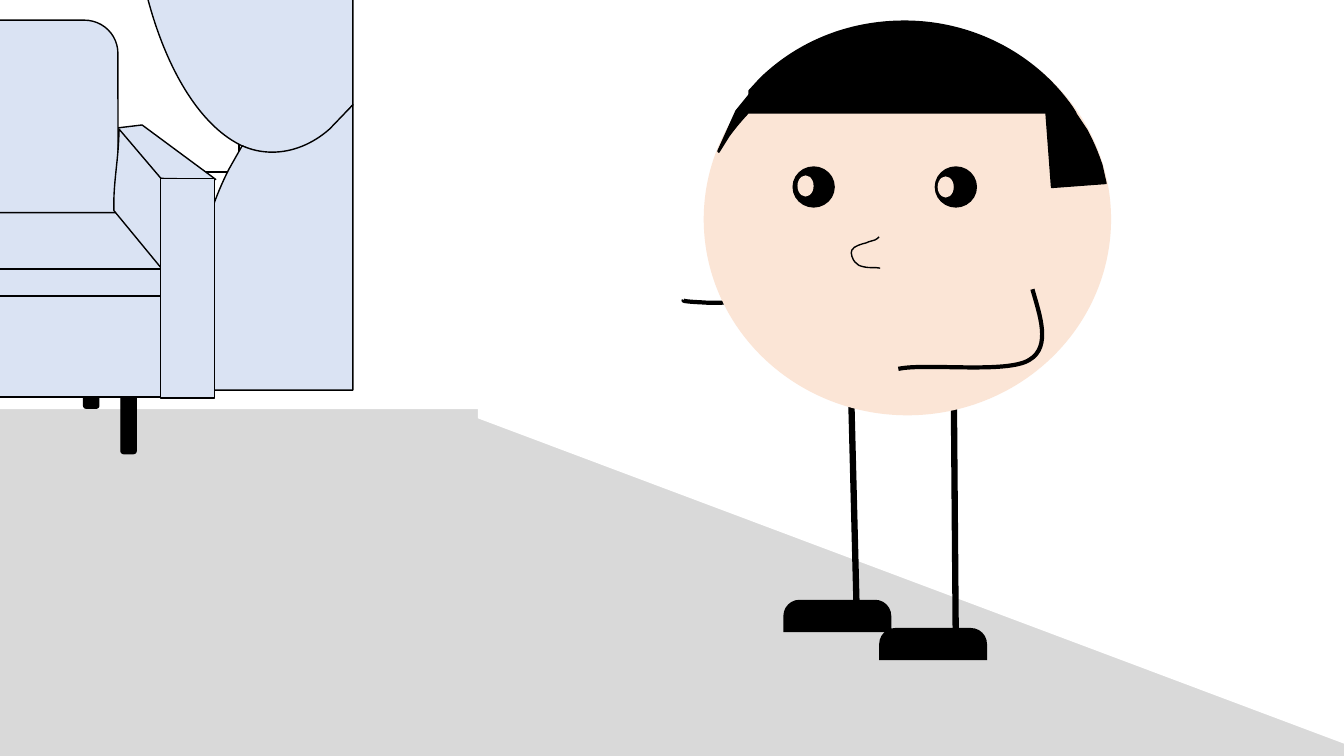
from dataclasses import dataclass
from typing import Optional, Union

from pptx import Presentation
from pptx import util as u
from pptx.dml import color
from pptx.enum import shapes
from pptx.oxml import ns, xmlchemy

BLACK, WHITE, FLOOR, BLUE, SKIN = "000000", "FFFFFF", "D9D9D9", "DAE3F3", "FBE5D6"
KIND = shapes.MSO_SHAPE


@dataclass
class Preset:
    kind: KIND
    left: float
    top: float
    width: float
    height: float
    fill: Optional[str] = BLACK
    line_width: float = 0
    adjustments: tuple = ()


@dataclass
class Outline:
    """Each step is an (x, y) line end or six numbers of a cubic curve."""
    start: tuple
    steps: list
    fill: Optional[str] = BLUE
    line_width: float = 1


@dataclass
class Limb:
    start: tuple
    end: tuple
    line_width: float = 4.5


Part = Union[Preset, Outline, Limb]


def rgb(value: str) -> color.RGBColor:
    return color.RGBColor.from_string(value)


def paint(shape, fill: Optional[str], line_width: float) -> None:
    shape.shadow.inherit = False
    if fill:
        shape.fill.solid()
        shape.fill.fore_color.rgb = rgb(fill)
    else:
        shape.fill.background()
    if line_width:
        shape.line.color.rgb = rgb(BLACK)
        shape.line.width = u.Pt(line_width)
    else:
        shape.line.fill.background()


def draw_preset(slide, part: Preset) -> None:
    frame = map(u.Inches, (part.left, part.top, part.width, part.height))
    shape = slide.shapes.add_shape(part.kind, *frame)
    for index, amount in enumerate(part.adjustments):
        shape.adjustments[index] = amount
    paint(shape, part.fill, part.line_width)


def draw_outline(slide, part: Outline) -> None:
    """Build the outline from all its points, then bend the curved steps."""
    builder = slide.shapes.build_freeform(*map(u.Inches, part.start))
    points = [(u.Inches(x), u.Inches(y)) for step in part.steps
              for x, y in zip(step[::2], step[1::2])]
    builder.add_line_segments(points, close=part.fill is not None)
    shape = builder.convert_to_shape()
    segments = iter(list(shape._element.iter(ns.qn("a:lnTo"))))
    for step in part.steps:
        controls = [next(segments) for _ in step[::2]]
        if len(controls) == 3:
            curve = xmlchemy.OxmlElement("a:cubicBezTo")
            controls[0].addprevious(curve)
            for control in controls:
                curve.append(control[0])
                control.getparent().remove(control)
    paint(shape, part.fill, part.line_width)


def draw_limb(slide, part: Limb) -> None:
    ends = map(u.Inches, part.start + part.end)
    limb = slide.shapes.add_connector(shapes.MSO_CONNECTOR.STRAIGHT, *ends)
    limb.line.color.rgb = rgb(BLACK)
    limb.line.width = u.Pt(part.line_width)
    limb._element.spPr.append(xmlchemy.OxmlElement("a:effectLst"))


def sofa_leg(left: float, top: float) -> Preset:
    return Preset(KIND.ROUNDED_RECTANGLE, left, top, 0.15, 0.67, BLACK, 1)


def shoe(left: float, top: float) -> Preset:
    return Preset(KIND.ROUND_2_SAME_RECTANGLE, left, top, 1.07, 0.32,
                  adjustments=(0.5, 0))


def eyeball(left: float) -> Preset:
    return Preset(KIND.OVAL, left, 1.65, 0.42, 0.41)


def glint(left: float, top: float) -> Preset:
    return Preset(KIND.OVAL, left, top, 0.16, 0.21, SKIN)


ROOM: list[Part] = [
    Preset(KIND.RECTANGLE, -8.83, -3.63, 14.6, 7.69, WHITE),
    Outline((8.29, -6.45), [(13.39, -6.45), (13.39, 7.4), (4.74, 4.15),
                            (4.69, 0.43, 4.73, 0.09, 4.72, -3.63)], WHITE, 0),
]

WINDOW: list[Part] = [
    Preset(KIND.RECTANGLE, -6.07, -1.51, 8.44, 3.22, None, 1.5),
    Outline((1.32, -2.07), [(3.5, -2.07), (3.5, 1.04), (3.28, 1.29),
                            (3.11, 1.44, 2.92, 1.52, 2.72, 1.52),
                            (1.93, 1.52, 1.29, 0.2, 1.29, -1.43),
                            (1.29, -1.64, 1.3, -1.84, 1.32, -2.03)]),
    Outline((3.5, 1.04), [(3.5, 3.87), (1.84, 3.87), (1.84, 3.76),
                          (1.84, 2.95, 2, 2.21, 2.27, 1.68),
                          (2.4, 1.45), (2.41, 1.45),
                          (2.5, 1.49, 2.6, 1.51, 2.7, 1.51),
                          (2.9, 1.51, 3.1, 1.43, 3.27, 1.28)]),
]

SOFA: list[Part] = [
    Outline((1.41, 1.24), [(1.16, 1.27), (1.59, 1.77), (2.14, 1.78)]),
    sofa_leg(0.83, 3.38),
    Preset(KIND.ROUNDED_RECTANGLE, -5.18, 0.2, 6.35, 2.38, BLUE, 1, (0.139,)),
    Outline((-2.07, 2.11), [(1.2, 2.11), (1.65, 2.68), (-2.07, 2.66)]),
    Preset(KIND.RECTANGLE, -2, 2.67, 3.63, 0.26, BLUE, 1),
    sofa_leg(1.2, 3.83),
    Preset(KIND.RECTANGLE, -5.59, 2.94, 7.28, 1, BLUE, 1),
    Outline((1.63, 1.81), [(1.18, 1.28), (1.18, 1.57, 1.12, 1.81, 1.13, 2.09),
                           (1.64, 2.71), (1.64, 2.44, 1.62, 2.08, 1.63, 1.81)]),
    Preset(KIND.RECTANGLE, 1.59, 1.77, 0.54, 2.18, BLUE, 1),
]

FAR_ARM = Outline((8.03, 3.06), [(7.8, 2.95, 7.17, 3.02, 6.96, 3),
                                 (6.75, 2.99, 6.78, 2.98, 6.78, 2.98)], None, 3)
NEAR_ARM = Outline((10.24, 2.87), [(10.31, 3.12, 10.43, 3.44, 10.21, 3.57),
                                   (9.99, 3.71, 9.18, 3.6, 8.91, 3.66)], None, 3)
NOSE = Outline((8.72, 2.35), [(8.71, 2.36, 8.7, 2.37, 8.68, 2.38),
                              (8.66, 2.39, 8.63, 2.39, 8.59, 2.41),
                              (8.55, 2.42, 8.47, 2.44, 8.45, 2.48),
                              (8.43, 2.51, 8.46, 2.58, 8.48, 2.6),
                              (8.5, 2.63, 8.53, 2.64, 8.58, 2.65),
                              (8.62, 2.66, 8.68, 2.65, 8.73, 2.66)], None)
HAIR: list[Part] = [
    Outline((8.97, 0.21), [(9.66, 0.21, 10.28, 0.55, 10.64, 1.07),
                           (10.67, 1.12), (7.43, 1.12), (7.43, 0.9), (7.54, 0.78),
                           (7.91, 0.42, 8.41, 0.21, 8.97, 0.21)], BLACK),
    Outline((10.37, 1.06), [(10.62, 1.05), (10.78, 1.29),
                            (10.84, 1.4, 10.89, 1.52, 10.93, 1.64),
                            (10.97, 1.82), (10.43, 1.86)], BLACK),
    Outline((7.71, 0.88), [(7.58, 0.83), (7.43, 0.94), (7.3, 1.1), (7.12, 1.5),
                           (7.13, 1.51), (7.23, 1.35),
                           (7.31, 1.24, 7.39, 1.15, 7.48, 1.06)], BLACK),
]
FIGURE: list[Part] = [
    FAR_ARM,
    Limb((9.46, 3.87), (9.48, 6.41)),
    Limb((8.44, 3.83), (8.5, 6.2)),
    Preset(KIND.OVAL, 6.98, 0.23, 4.04, 3.89, SKIN),
    shoe(7.77, 5.95), shoe(8.72, 6.23),
    NEAR_ARM, NOSE,
    eyeball(9.27), eyeball(7.86),
    glint(9.3, 1.75), glint(7.91, 1.74),
    *HAIR,
]

DRAW = {Preset: draw_preset, Outline: draw_outline, Limb: draw_limb}


def main() -> None:
    deck = Presentation()
    deck.slide_width, deck.slide_height = u.Inches(13.33), u.Inches(7.5)
    slide = deck.slides.add_slide(deck.slide_layouts[6])
    slide.background.fill.solid()
    slide.background.fill.fore_color.rgb = rgb(FLOOR)
    for part in ROOM + WINDOW + SOFA + FIGURE:
        DRAW[type(part)](slide, part)
    deck.save("out.pptx")


if __name__ == "__main__":
    main()
